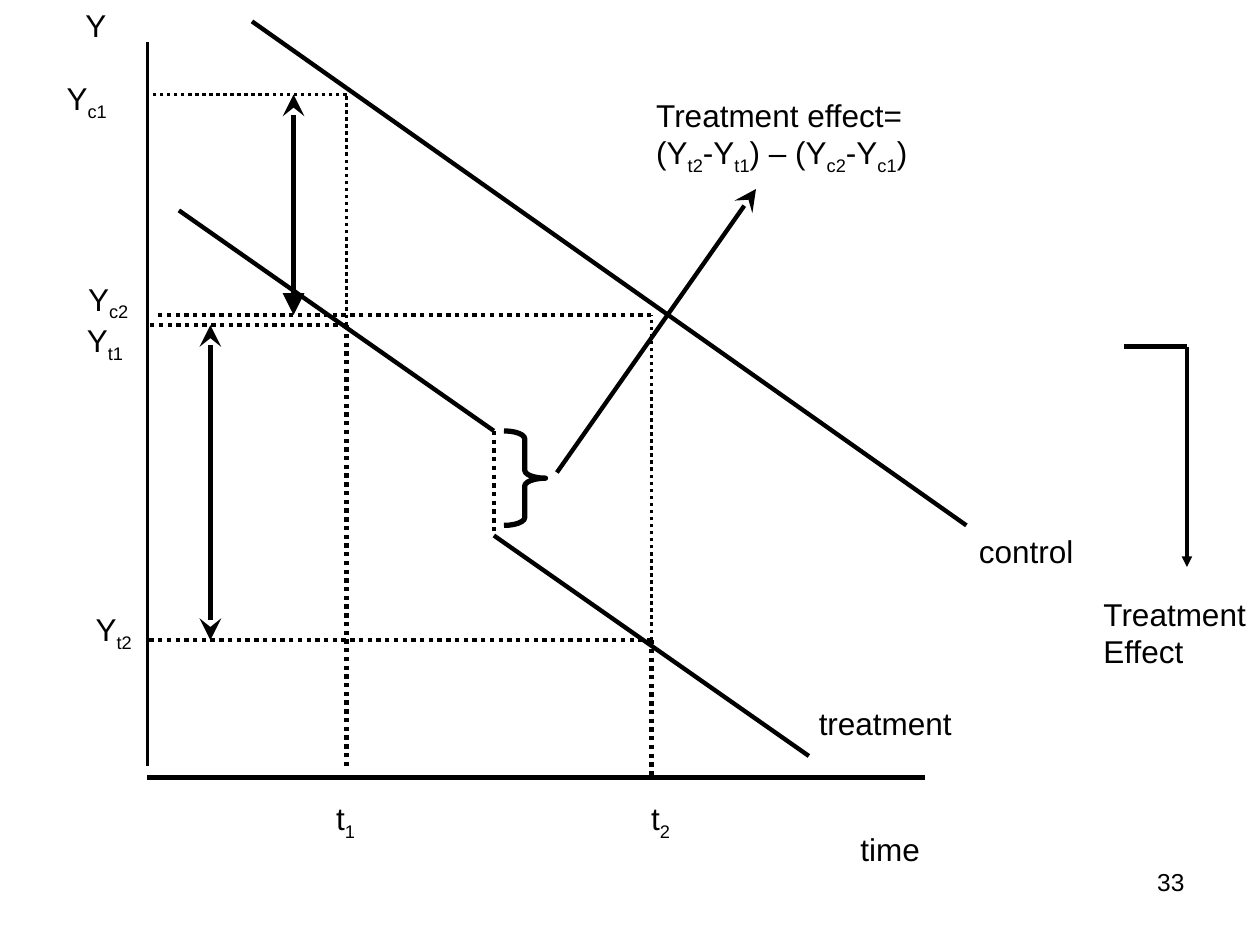
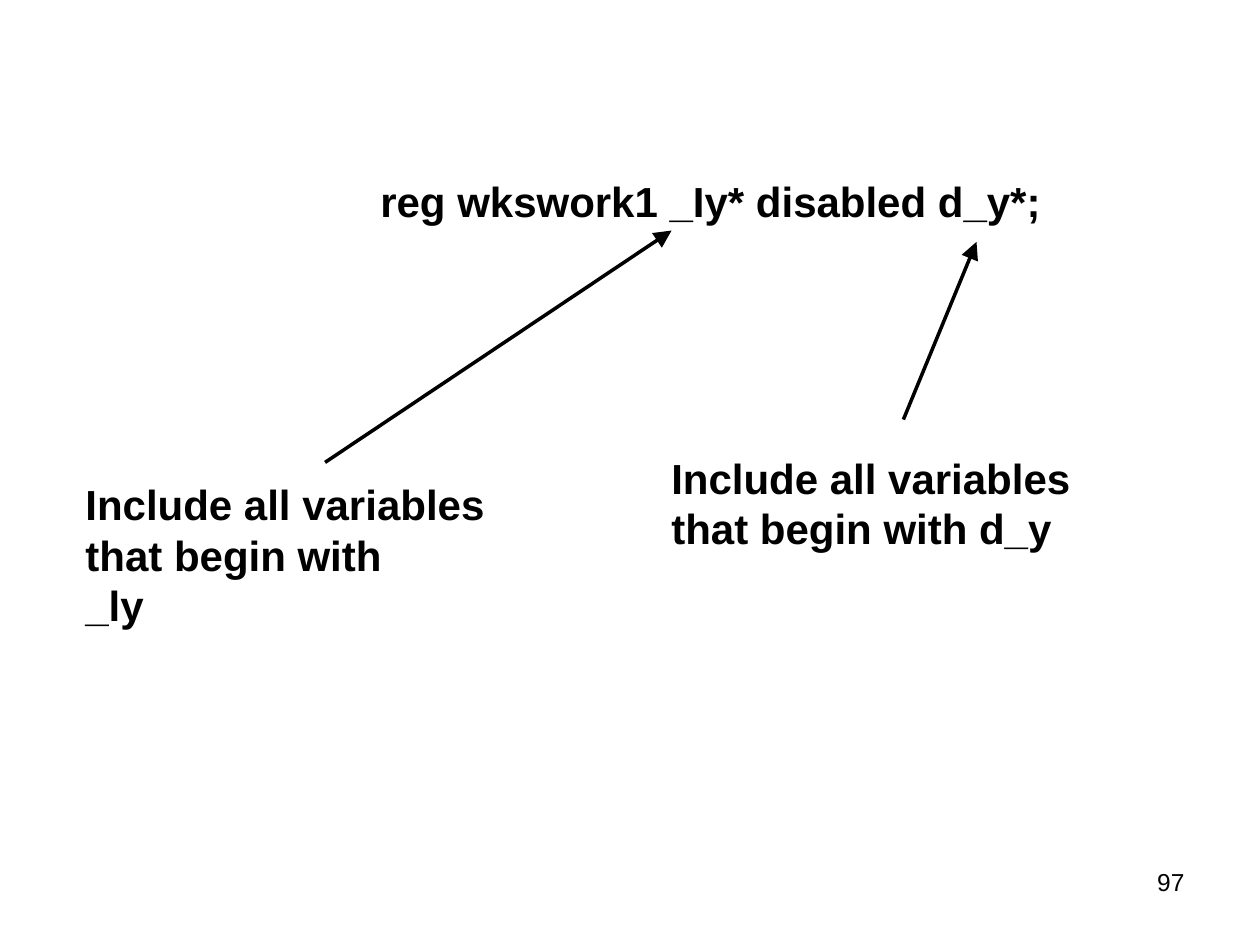
import pptx
import pptx.dml.color
import pptx.enum.dml
import pptx.enum.shapes
import pptx.enum.text
import pptx.oxml
import pptx.util
from pptx.util import Inches

COLORS = {"ink": "000000", "paper": "FFFFFF"}
FONT = "Arial"
MARGINS = {"margin_left": 0.1, "margin_right": 0.1, "margin_top": 0.05, "margin_bottom": 0.05}
SUBSCRIPT_MARK = "~"


def color(name):
    return pptx.dml.color.RGBColor.from_string(COLORS[name])


class Deck:
    """Holds the presentation, its style and the slide being drawn."""

    def __init__(self):
        self.presentation = pptx.Presentation()
        self.presentation.slide_width = Inches(10)
        self.presentation.slide_height = Inches(7.5)
        self.slide = None

    def new_slide(self, number):
        self.slide = self.presentation.slides.add_slide(self.presentation.slide_layouts[6])
        fill = self.slide.background.fill
        fill.solid()
        fill.fore_color.rgb = color("paper")
        self.text(7.17, 6.83, 2.33, 0.52, str(number), size=14, wrap=True, grow=False,
                  alignment=pptx.enum.text.PP_ALIGN.RIGHT)

    def text(self, left, top, width, height, *lines, size=18, bold=False, wrap=False,
             grow=True, alignment=pptx.enum.text.PP_ALIGN.LEFT):
        """Adds one paragraph per line; parts between ~ marks are subscripts."""
        box = self.slide.shapes.add_textbox(*map(Inches, (left, top, width, height)))
        frame = box.text_frame
        for name, value in MARGINS.items():
            setattr(frame, name, Inches(value))
        frame.word_wrap = wrap
        auto_size = pptx.enum.text.MSO_AUTO_SIZE
        frame.auto_size = auto_size.SHAPE_TO_FIT_TEXT if grow else auto_size.NONE
        font_format = {"name": FONT, "size": pptx.util.Pt(size), "bold": bold}
        for index, line in enumerate(lines):
            paragraph = frame.add_paragraph() if index else frame.paragraphs[0]
            paragraph.alignment = alignment
            for position, part in enumerate(line.split(SUBSCRIPT_MARK)):
                if not part:
                    continue
                run = paragraph.add_run()
                run.text = part
                for name, value in font_format.items():
                    setattr(run.font, name, value)
                run.font.color.rgb = color("ink")
                if position % 2:
                    run.font._element.set("baseline", "-25000")

    def line(self, start, end, width=2.5, dotted=False, head=None, tail=None, arrow_size="lg"):
        """Draws a line; head is the arrowhead at start, tail the one at end."""
        connector = self.slide.shapes.add_connector(
            pptx.enum.shapes.MSO_CONNECTOR.STRAIGHT, *map(Inches, (*start, *end)))
        connector.line.width = pptx.util.Pt(width)
        connector.line.color.rgb = color("ink")
        if dotted:
            connector.line.dash_style = pptx.enum.dml.MSO_LINE.ROUND_DOT
        outline = connector.line._get_or_add_ln()
        for tag, arrow in (("a:headEnd", head), ("a:tailEnd", tail)):
            if arrow:
                element = outline.makeelement(pptx.oxml.ns.qn(tag), {
                    "type": arrow, "w": arrow_size, "len": arrow_size})
                outline.append(element)
        properties = connector._element.spPr
        properties.append(properties.makeelement(pptx.oxml.ns.qn("a:effectLst"), {}))

    def brace(self, left, top, width, height):
        shape = self.slide.shapes.add_shape(pptx.enum.shapes.MSO_SHAPE.RIGHT_BRACE,
                                            *map(Inches, (left, top, width, height)))
        shape.adjustments[0] = 0.19
        shape.shadow.inherit = False
        shape.fill.background()
        shape.line.color.rgb = color("ink")
        shape.line.width = pptx.util.Pt(3)


def draw_treatment_effect(deck):
    deck.new_slide(33)
    axis_x, axis_y = 1.17, 6.17
    t1, t2, treated = 2.75, 5.17, 3.92
    control_1, control_2, treatment_1, treatment_2 = 0.75, 2.5, 2.58, 5.08
    jump_top, jump_bottom = 3.42, 4.25

    # Axes
    deck.line((axis_x, axis_y), (7.34, axis_y))
    deck.line((axis_x, 6.08), (axis_x, 0.33), width=2)

    # Control and treatment trends
    deck.line((2, 0.17), (7.67, 4.17))
    deck.line((1.42, 1.67), (treated, jump_top))
    deck.line((treated, jump_bottom), (6.42, 6))

    # Dotted guides
    for start, end, width in (
        ((treated, jump_top), (treated, jump_bottom), 2.5),
        ((t1, treatment_1), (axis_x, treatment_1), 2.5),
        ((t1, treatment_1), (t1, 6.08), 2.5),
        ((t2, treatment_2), (axis_x, treatment_2), 2.5),
        ((t2, treatment_2), (t2, axis_y), 2.5),
        ((t2, control_2), (1.25, control_2), 2.5),
        ((t2, treatment_2), (t2, control_2), 2),
        ((t1, treatment_1), (t1, control_1), 2),
        ((t1, control_1), (axis_x, control_1), 2),
    ):
        deck.line(start, end, width, dotted=True)

    # Changes over time and the effect
    deck.line((1.67, treatment_1), (1.67, treatment_2), head="stealth", tail="stealth")
    deck.line((2.33, control_1), (2.33, control_2), head="stealth", tail="triangle")
    deck.brace(4, jump_top, 0.33, 0.75)
    deck.line((4.42, 3.75), (6, 1.5), tail="stealth")
    deck.line((8.92, 2.75), (9.42, 2.75))
    deck.line((9.42, 2.75), (9.42, 4.5), width=2, tail="triangle", arrow_size="med")

    # Labels
    deck.text(0.58, 0, 0.37, 0.4, "Y", wrap=True)
    for left, top, width, label in (
        (0.43, 0.58, 0.52, "Y~c1~"),
        (0.6, 2.17, 0.52, "Y~c2~"),
        (0.59, 2.5, 0.49, "Y~t1~"),
        (0.66, 4.79, 0.49, "Y~t2~"),
        (2.57, 6.29, 0.35, "t~1~"),
        (5.07, 6.29, 0.35, "t~2~"),
    ):
        deck.text(left, top, width, 0.44, label)
    deck.text(6.73, 6.54, 0.67, 0.4, "time")
    deck.text(6.4, 5.54, 1.3, 0.4, "treatment")
    deck.text(7.67, 4.17, 0.95, 0.4, "control")
    deck.text(5.11, 0.71, 2.19, 0.74, "Treatment effect=",
              "(Y~t2~-Y~t1~) – (Y~c2~-Y~c1~)")
    deck.text(8.66, 4.67, 1.34, 0.7, "Treatment", "Effect")


def draw_variable_wildcards(deck):
    deck.new_slide(97)
    deck.text(2.92, 1.34, 5.44, 0.5, "reg wkswork1 _Iy* disabled d_y*;", size=24, bold=True)
    deck.text(0.58, 3.75, 3.37, 1.3, "Include all variables", "that begin with", "_ly",
              size=24, bold=True)
    deck.text(5.23, 3.54, 3.37, 0.9, "Include all variables", "that begin with d_y",
              size=24, bold=True)
    deck.line((2.58, 3.67), (5.33, 1.83), width=2, tail="triangle")
    deck.line((7.17, 3.33), (7.75, 1.92), width=2, tail="triangle")


def main():
    deck = Deck()
    draw_treatment_effect(deck)
    draw_variable_wildcards(deck)
    deck.presentation.save("out.pptx")


if __name__ == "__main__":
    main()
